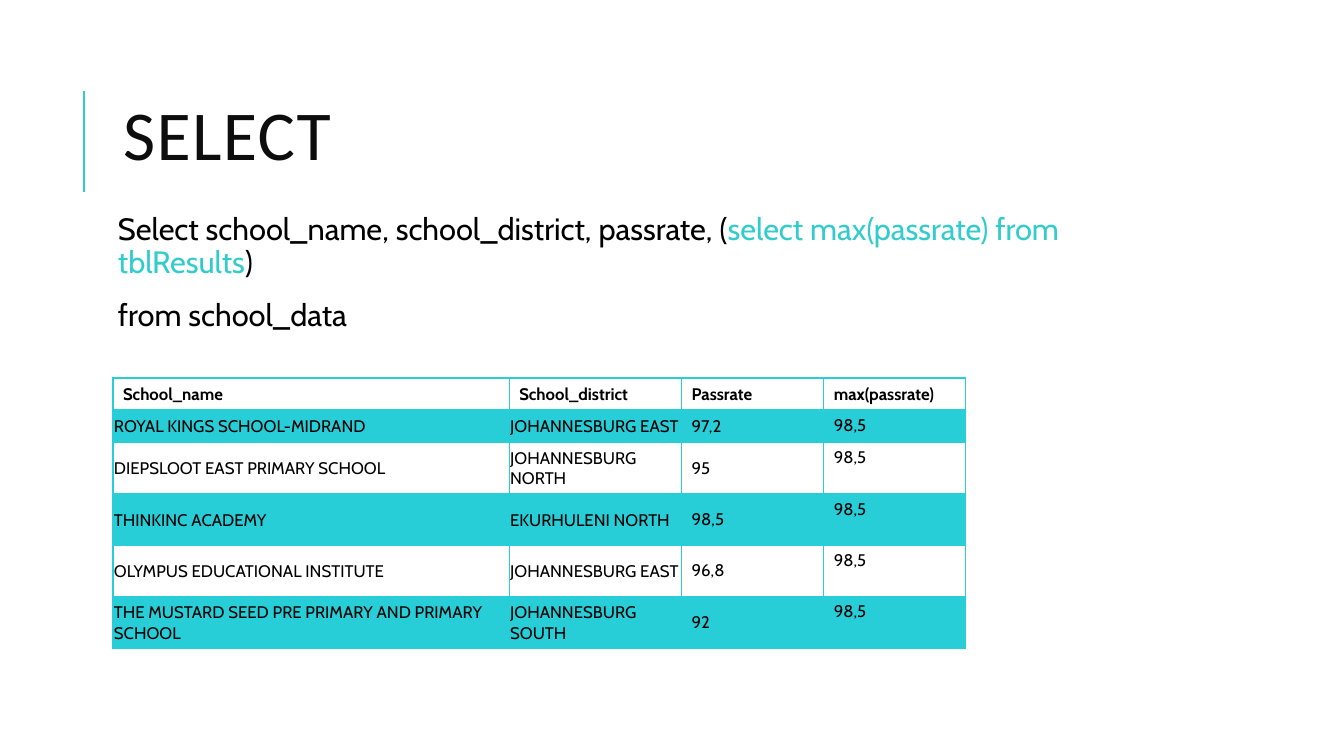
from pptx import Presentation
from pptx.dml.color import RGBColor
from pptx.enum.shapes import MSO_CONNECTOR as Conn
from pptx.enum.text import MSO_ANCHOR as Anchor, MSO_AUTO_SIZE as Auto, PP_ALIGN as Align
from pptx.oxml import parse_xml
from pptx.oxml.ns import nsdecls
from pptx.util import Inches, Pt

TEAL, EDGE, BLACK = "33CCCC", "27CED7", "000000"
HEADS = ["School_name", "School_district", "Passrate", "max(passrate)"]
SCHOOLS = [
    ("ROYAL KINGS SCHOOL-MIDRAND", "JOHANNESBURG EAST", "97,2"),
    ("DIEPSLOOT EAST PRIMARY SCHOOL", "JOHANNESBURG NORTH", "95"),
    ("THINKINC ACADEMY", "EKURHULENI NORTH", "98,5"),
    ("OLYMPUS EDUCATIONAL INSTITUTE", "JOHANNESBURG EAST", "96,8"),
    ("THE MUSTARD SEED PRE PRIMARY AND PRIMARY SCHOOL", "JOHANNESBURG SOUTH", "92"),
]
TOP_RATE = "98,5"


def color(code):
    return RGBColor.from_string(code)


def element(text):
    return parse_xml(text.replace(">", f" {nsdecls('a')}>", 1))


class Deck:
    """Holds the style and the current slide."""

    def __init__(self):
        self.file = Presentation()
        self.file.slide_width, self.file.slide_height = Inches(13.33), Inches(7.5)
        self.slide = self.file.slides.add_slide(self.file.slide_layouts[1])
        self.font = "Cabin"

    def style(self, run, size, code=BLACK, bold=False, name=None):
        font = run.font
        font.name, font.size, font.bold = name or self.font, Pt(size), bold
        font.color.rgb = color(code)

    def place(self, shape, left, top, width, height):
        shape.left, shape.top = Inches(left), Inches(top)
        shape.width, shape.height = Inches(width), Inches(height)
        shape.text_frame.word_wrap = True
        shape.text_frame.auto_size = Auto.NONE

    def rule(self, x, top, end):
        line = self.slide.shapes.add_connector(
            Conn.STRAIGHT, Inches(x), Inches(end), Inches(x), Inches(top))
        line.line.color.rgb, line.line.width = color(TEAL), Pt(1.5)
        line._element.spPr.append(element("<a:effectLst></a:effectLst>"))

    def title(self, text, *box):
        shape = self.slide.shapes.title
        self.place(shape, *box)
        frame = shape.text_frame
        frame.text, frame.vertical_anchor = text, Anchor.MIDDLE
        para = frame.paragraphs[0]
        para.alignment, para.line_spacing = Align.LEFT, 0.8
        run = para.runs[0]
        self.style(run, 50, "0D0D0D", name="Calibri")
        run._r.get_or_add_rPr().set("spc", "100")

    def body(self, lines, *box):
        shape = self.slide.placeholders[1]
        self.place(shape, *box)
        frame = shape.text_frame
        frame.margin_left = frame.margin_right = Inches(0.05)
        frame.margin_top = frame.margin_bottom = Inches(0.05)
        for i, parts in enumerate(lines):
            para = frame.add_paragraph() if i else frame.paragraphs[0]
            para.line_spacing = 0.9
            para.space_before, para.space_after = Pt(12), Pt(2)
            props = para._p.get_or_add_pPr()
            props.set("marL", "0")
            props.set("indent", "0")
            props.append(element("<a:buNone></a:buNone>"))
            for text, code in parts:
                run = para.add_run()
                run.text = text
                self.style(run, 22, code)

    def border(self, cell, head, under):
        props = cell._tc.get_or_add_tcPr()
        for side in "LRTB":
            thick = (head and side == "B") or (under and side == "T")
            props.append(element(
                f'<a:ln{side} w="{Pt(2 if thick else 1)}"><a:solidFill>'
                f'<a:srgbClr val="{EDGE}"/></a:solidFill></a:ln{side}>'))

    def cell(self, cell, text, row, col):
        cell.text = text
        self.style(cell.text_frame.paragraphs[0].runs[0], 12, bold=row == 0)
        cell.vertical_anchor = Anchor.TOP if row and col == 3 else Anchor.MIDDLE
        if row and col < 2:
            cell.margin_left = cell.margin_right = cell.margin_top = Inches(0.01)
            cell.margin_bottom = 0
        self.border(cell, row == 0, row == 1)
        if row % 2:
            cell.fill.solid()
            cell.fill.fore_color.rgb = color(EDGE)
            tint = cell._tc.tcPr.find(".//{*}solidFill[last()]/../{*}solidFill/{*}srgbClr")
            tint.append(element('<a:alpha val="20000"></a:alpha>'))
        else:
            cell.fill.background()

    def table(self, rows, widths, heights, left, top):
        grid = self.slide.shapes.add_table(
            len(rows), len(widths), Inches(left), Inches(top),
            Inches(sum(widths)), Inches(sum(heights))).table
        grid.horz_banding = False
        for col, width in zip(grid.columns, widths):
            col.width = Inches(width)
        for r, (row, height) in enumerate(zip(rows, heights)):
            grid.rows[r].height = Inches(height)
            for c, text in enumerate(row):
                self.cell(grid.cell(r, c), text, r, c)


def main():
    deck = Deck()
    deck.rule(0.83, 0.9, 1.9)
    deck.title("SELECT", 1.12, 0.89, 10.63, 1.01)
    deck.body([
        [("Select school_name, school_district, passrate, (", BLACK),
         ("select max(passrate) from tblResults", TEAL), (")", BLACK)],
        [("from school_data", BLACK)],
    ], 1.12, 2.07, 10.63, 4.83)
    rows = [HEADS] + [[*school, TOP_RATE] for school in SCHOOLS]
    deck.table(rows, [3.93, 1.71, 1.41, 1.41], [0.32] * 2 + [0.51] * 4, 1.12, 3.75)
    deck.file.save("out.pptx")


if __name__ == "__main__":
    main()
